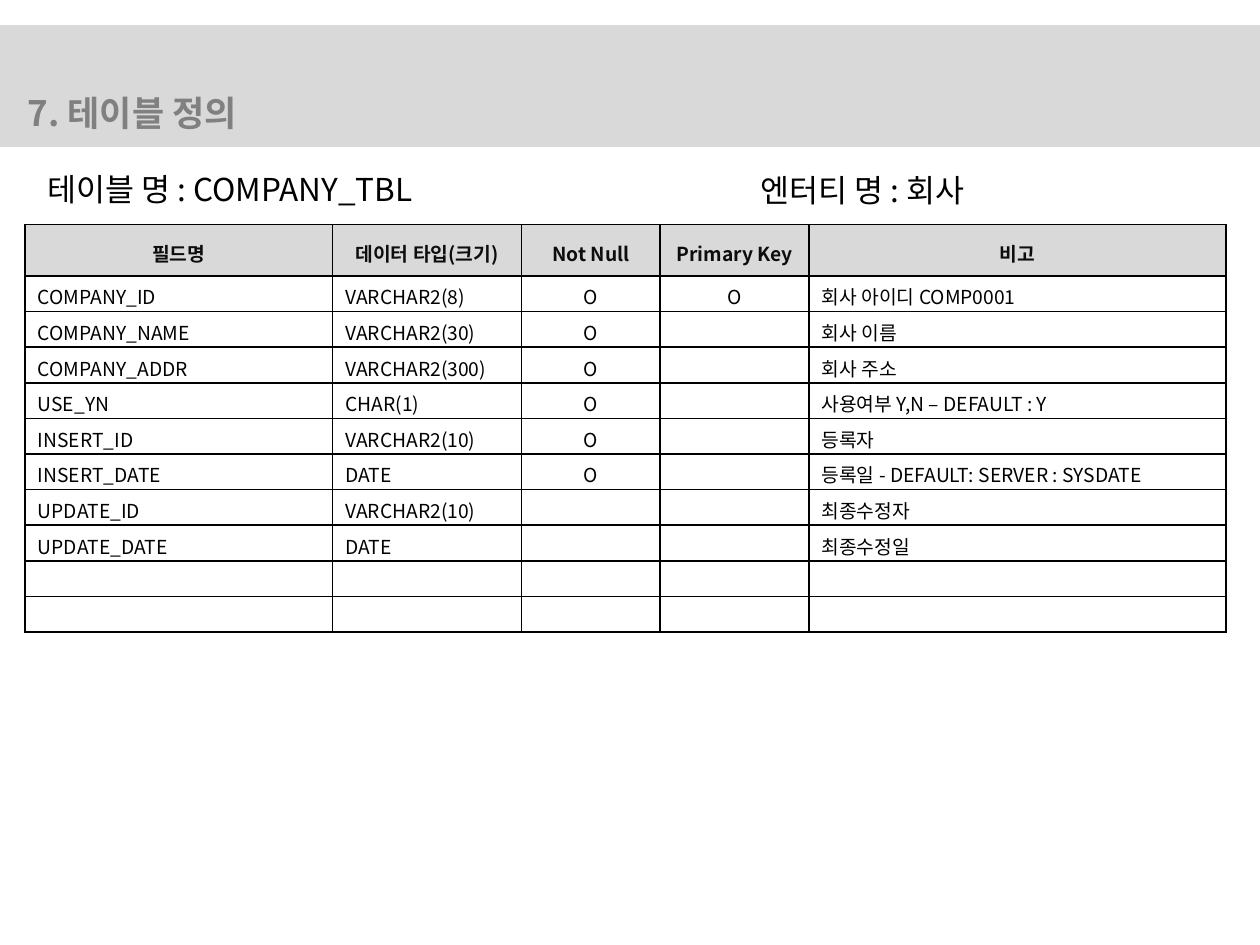
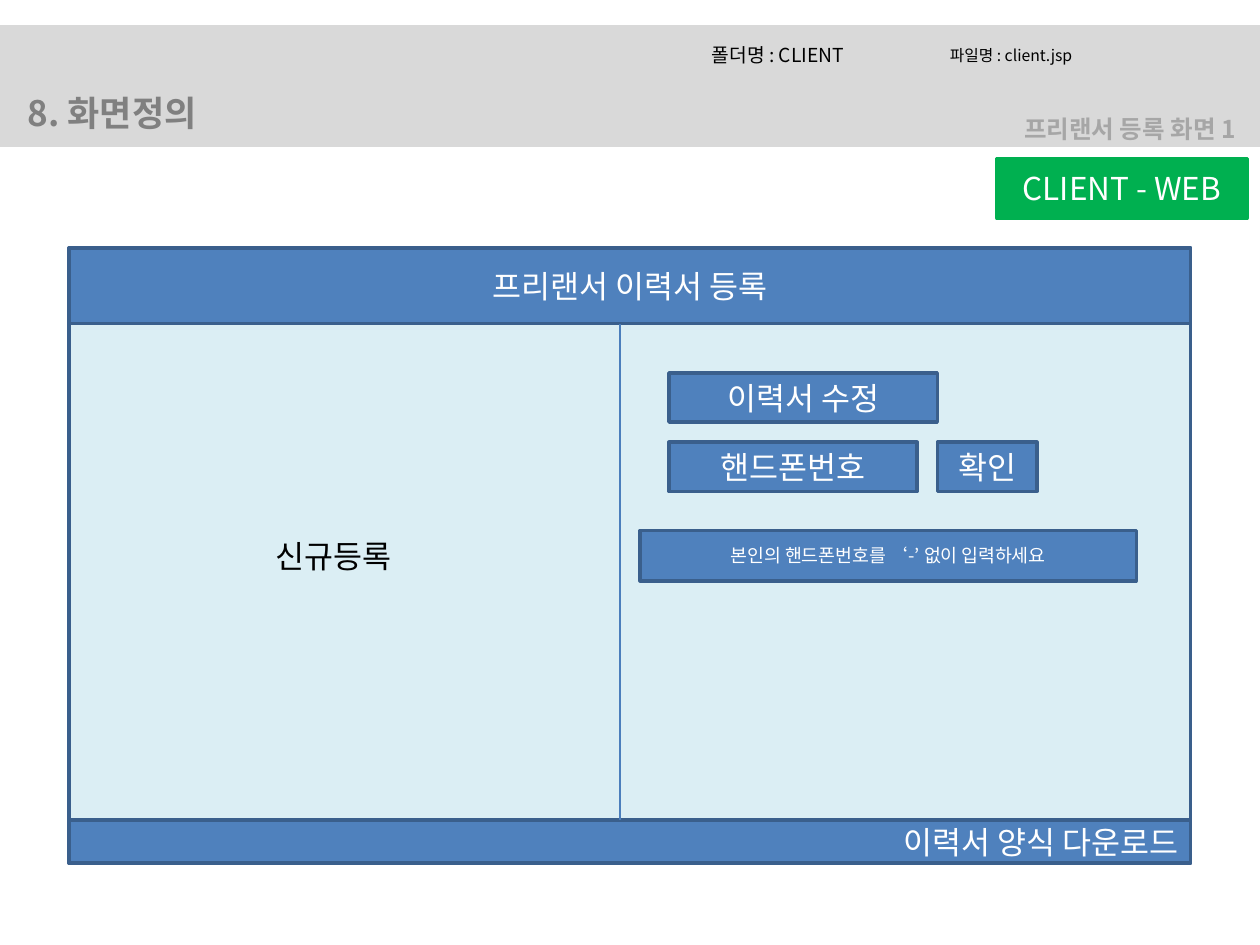
"""Build two slides of a system design document: a table definition and a screen definition."""
from lxml import etree
from pptx import Presentation
from pptx.dml import color
from pptx.enum import shapes, text
from pptx.oxml import ns
from pptx.util import Inches, Pt

FONT = "Noto Sans CJK KR"
COLORS = {
    "band": "D9D9D9", "title": "808080", "subtitle": "A6A6A6", "heading": "0D0D0D",
    "black": "000000", "white": "FFFFFF", "panel": "DBEEF4", "blue": "4F81BD",
    "outline": "3A5F8C", "divider": "4B7EBC", "green": "00B050",
}
LEFT, CENTER, RIGHT = text.PP_ALIGN.LEFT, text.PP_ALIGN.CENTER, text.PP_ALIGN.RIGHT
TOP, MIDDLE = text.MSO_ANCHOR.TOP, text.MSO_ANCHOR.MIDDLE

HEADINGS = ["필드명", "데이터 타입(크기)", "Not Null", "Primary Key", "비고"]
FIELDS = [
    ["COMPANY_ID", "VARCHAR2(8)", "O", "O", "회사 아이디 COMP0001"],
    ["COMPANY_NAME", "VARCHAR2(30)", "O", "", "회사 이름"],
    ["COMPANY_ADDR", "VARCHAR2(300)", "O", "", "회사 주소"],
    ["USE_YN", "CHAR(1)", "O", "", "사용여부 Y,N – DEFAULT : Y"],
    ["INSERT_ID", "VARCHAR2(10)", "O", "", "등록자"],
    ["INSERT_DATE", "DATE", "O", "", "등록일 - DEFAULT: SERVER : SYSDATE"],
    ["UPDATE_ID", "VARCHAR2(10)", "", "", "최종수정자"],
    ["UPDATE_DATE", "DATE", "", "", "최종수정일"],
    [""] * 5,
    [""] * 5,
]
COLUMN_WIDTHS = [2.44, 1.5, 1.1, 1.18, 3.31]
COLUMN_ALIGNMENTS = [LEFT, LEFT, CENTER, CENTER, LEFT]
HEADING_HEIGHT = 0.41


def rgb(name):
    """Return the named colour."""
    return color.RGBColor.from_string(COLORS[name])


def inches(box):
    """Turn left, top, width and height into lengths."""
    return [Inches(value) for value in box]


def write(frame, words, size, ink, alignment=LEFT, anchor=TOP, bold=False):
    """Write one formatted run into a text frame."""
    frame.word_wrap = True
    frame.vertical_anchor = anchor
    paragraph = frame.paragraphs[0]
    paragraph.alignment = alignment
    run = paragraph.add_run()
    run.text = words
    run.font.name, run.font.size, run.font.bold = FONT, Pt(size), bold
    run.font.color.rgb = rgb(ink)
    east_asian = etree.SubElement(run.font._element, ns.qn("a:ea"))
    east_asian.set("typeface", FONT)


def add_label(slide, box, words, size, ink="black", bold=False):
    """Add a plain text box."""
    frame = slide.shapes.add_textbox(*inches(box)).text_frame
    frame.margin_right = 0
    write(frame, words, size, ink, bold=bold)


def add_block(slide, box, fill="blue", line="outline", words="", size=18, alignment=CENTER):
    """Add a filled rectangle with optional white text."""
    shape = slide.shapes.add_shape(shapes.MSO_SHAPE.RECTANGLE, *inches(box))
    shape.shadow.inherit = False
    shape.fill.solid()
    shape.fill.fore_color.rgb = rgb(fill)
    shape.line.color.rgb = rgb(line)
    shape.line.width = Pt(2)
    if words:
        write(shape.text_frame, words, size, "white", alignment, MIDDLE)
    return shape


def add_titled_slide(presentation, words):
    """Add a slide with the grey band and its section title."""
    slide = presentation.slides.add_slide(presentation.slide_layouts[5])
    title = slide.shapes.title
    title.left, title.top, title.width, title.height = inches((0.12, 0.68, 3.78, 0.44))
    title.text_frame.auto_size = text.MSO_AUTO_SIZE.NONE
    write(title.text_frame, words, 20, "title", bold=True)
    band = add_block(slide, (0, 0.21, 10, 0.94), "band", "band")
    title._element.addprevious(band._element)
    return slide


def add_borders(cell):
    """Draw a thin black line on all four sides of a cell."""
    properties = cell._tc.get_or_add_tcPr()
    for side in ("lnL", "lnR", "lnT", "lnB"):
        line = etree.SubElement(properties, ns.qn("a:" + side), w=str(Pt(1)))
        fill = etree.SubElement(line, ns.qn("a:solidFill"))
        etree.SubElement(fill, ns.qn("a:srgbClr"), val=COLORS["black"])


def format_cell(cell, words, alignment, heading):
    """Fill, frame and write one table cell."""
    add_borders(cell)
    cell.fill.solid()
    cell.fill.fore_color.rgb = rgb("band" if heading else "white")
    cell.vertical_anchor = MIDDLE
    cell.margin_top, cell.margin_bottom = Inches(0.05), Inches(0.01)
    if words:
        ink = "heading" if heading else "black"
        write(cell.text_frame, words, 11, ink, alignment, MIDDLE, heading)
    else:
        paragraph = cell.text_frame.paragraphs[0]
        etree.SubElement(paragraph._p, ns.qn("a:endParaRPr"), sz="1100")


def add_field_table(slide, box):
    """Add the table of database fields."""
    rows = [HEADINGS] + FIELDS
    table = slide.shapes.add_table(len(rows), len(HEADINGS), *inches(box)).table
    for column, width in zip(table.columns, COLUMN_WIDTHS):
        column.width = Inches(width)
    row_height = (box[3] - HEADING_HEIGHT) / len(FIELDS)
    for row_index, row in enumerate(rows):
        heading = row_index == 0
        table.rows[row_index].height = Inches(HEADING_HEIGHT if heading else row_height)
        for column_index, words in enumerate(row):
            alignment = CENTER if heading else COLUMN_ALIGNMENTS[column_index]
            format_cell(table.cell(row_index, column_index), words, alignment, heading)


def add_divider(slide, x, top, bottom):
    """Add the vertical line between the two halves of the screen."""
    line = slide.shapes.add_connector(
        shapes.MSO_CONNECTOR.STRAIGHT, *inches((x, top, x, bottom)))
    line.line.color.rgb = rgb("divider")
    line.line.width = Pt(0.75)
    etree.SubElement(line._element.spPr, ns.qn("a:effectLst"))


def add_resume_form(slide, box):
    """Add the fields and buttons for editing a résumé."""
    left, top, width, height = box
    indent, button_height = 0.23, 0.39
    second_row = top + 0.55
    for part, words, size in [
        ((left + indent, second_row, 1.97, button_height), "핸드폰번호", 18),
        ((left + indent, top, 2.13, button_height), "이력서 수정", 18),
        ((left, top + height - 0.4, width, 0.4), "본인의 핸드폰번호를 ‘-’ 없이 입력하세요", 10.5),
        ((left + 2.36, second_row, 0.79, button_height), "확인", 18),
    ]:
        add_block(slide, part, words=words, size=size)


def add_screen(slide, box):
    """Add the screen mock-up: header, two halves and footer."""
    left, top, width, height = box
    header, footer = 0.6, 0.34
    footer_top = top + height - footer
    add_block(slide, box, "panel")
    add_block(slide, (left, top, width, header), words="프리랜서 이력서 등록")
    add_block(slide, (left, footer_top, width, footer),
              words="이력서 양식 다운로드", alignment=RIGHT)
    add_divider(slide, left + 4.37, top + header, footer_top)
    add_label(slide, (left + 1.54, top + 2.24, 1.26, 0.4), "신규등록", 18)
    add_resume_form(slide, (left + 4.53, top + 0.99, 3.94, 1.65))


def build_table_slide(presentation):
    """Build the table definition slide."""
    slide = add_titled_slide(presentation, "7. 테이블 정의")
    add_field_table(slide, (0.2, 1.78, sum(COLUMN_WIDTHS), 3.24))
    add_label(slide, (0.28, 1.3, 3.78, 0.4), "테이블 명 : COMPANY_TBL", 18)
    add_label(slide, (5.94, 1.31, 3.78, 0.4), "엔터티 명 : 회사", 18)


def build_screen_slide(presentation):
    """Build the screen definition slide."""
    slide = add_titled_slide(presentation, "8. 화면정의")
    add_label(slide, (8.03, 0.86, 1.97, 0.34), "프리랜서 등록 화면 1", 14, "subtitle", True)
    add_screen(slide, (0.55, 1.97, 8.9, 4.88))
    add_block(slide, (7.91, 1.26, 1.99, 0.47), "green", "green", "CLIENT - WEB")
    add_label(slide, (5.55, 0.29, 1.77, 0.29), "폴더명 : CLIENT", 11)
    add_label(slide, (7.44, 0.31, 2.38, 0.25), "파일명 : client.jsp", 9)


presentation = Presentation()
presentation.slide_width, presentation.slide_height = Inches(10), Inches(7.5)
build_table_slide(presentation)
build_screen_slide(presentation)
presentation.save("out.pptx")
